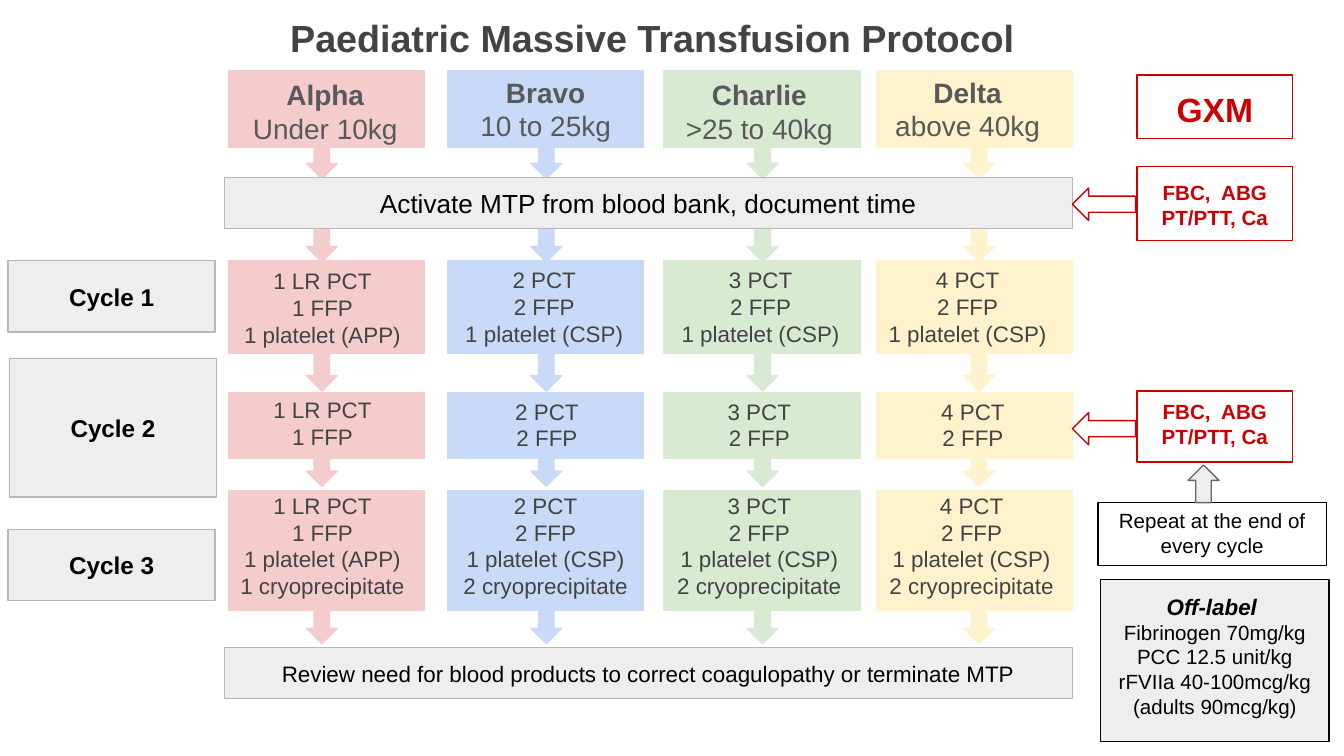
import pptx
import pptx.util
import pptx.dml.color
import pptx.enum.shapes
import pptx.enum.text

Inches = pptx.util.Inches
Pt = pptx.util.Pt
RGB = pptx.dml.color.RGBColor
SHAPE = pptx.enum.shapes.MSO_SHAPE
ANCHOR = pptx.enum.text.MSO_ANCHOR

BLACK = RGB(0x00, 0x00, 0x00)
WHITE = RGB(0xFF, 0xFF, 0xFF)
RED = RGB(0xCC, 0x00, 0x00)
DARK = RGB(0x43, 0x43, 0x43)
MID = RGB(0x59, 0x59, 0x59)
ARROW_GREY = RGB(0x66, 0x66, 0x66)
BORDER = RGB(0xB7, 0xB7, 0xB7)
PANEL = RGB(0xEE, 0xEE, 0xEE)
PINK = RGB(0xF4, 0xCC, 0xCC)
BLUE = RGB(0xC9, 0xDA, 0xF8)
GREEN = RGB(0xD9, 0xEA, 0xD3)
YELLOW = RGB(0xFF, 0xF2, 0xCC)

# name, weight, colour, box left, arrow left, (red cells, plasma, platelet, cryo)
GROUPS = [
    ("Alpha", "Under 10kg", PINK, 1.7, 2.28,
     ("1 LR PCT", "1 FFP", "1 platelet (APP)", "1 cryoprecipitate")),
    ("Bravo", "10 to 25kg", BLUE, 3.33, 3.95,
     ("2 PCT", "2 FFP", "1 platelet (CSP)", "2 cryoprecipitate")),
    ("Charlie", ">25 to 40kg", GREEN, 4.94, 5.56,
     ("3 PCT", "2 FFP", "1 platelet (CSP)", "2 cryoprecipitate")),
    ("Delta", "above 40kg", YELLOW, 6.52, 7.17,
     ("4 PCT", "2 FFP", "1 platelet (CSP)", "2 cryoprecipitate")),
]
HEADER_TEXT = [(1.75, 0.44), (3.39, 0.42), (4.98, 0.44), (6.53, 0.42)]
# box top, box height, products given, text height, top inset, text positions
CYCLES = [
    (1.94, 0.69, 3, 0.66, 0.1,
     [(1.67, 1.89), (3.32, 1.88), (4.93, 1.88), (6.47, 1.88)]),
    (2.92, 0.49, 2, 0.57, 0.06,
     [(1.67, 2.89), (3.34, 2.9), (4.92, 2.9), (6.51, 2.9)]),
    (3.65, 0.89, 4, 0.66, 0.1,
     [(1.67, 3.56), (3.33, 3.56), (4.92, 3.56), (6.5, 3.56)]),
]
ARROWS = [(1.05, 0.28), (1.71, 0.24), (2.63, 0.28), (3.38, 0.24), (4.55, 0.24)]
CYCLE_LABELS = [("Cycle 1", 0.06, 1.94, 0.53), ("Cycle 2", 0.07, 2.67, 1.03),
                ("Cycle 3", 0.06, 3.94, 0.53)]


def write(tf, lines, size=12, color=BLACK, bold=False, first=None,
          anchor=ANCHOR.TOP, top=0.1, bottom=0.1):
    """Fill a frame with centred lines; first overrides the first line's font."""
    tf.word_wrap = True
    tf.auto_size = pptx.enum.text.MSO_AUTO_SIZE.NONE
    tf.vertical_anchor = anchor
    tf.margin_left = tf.margin_right = Inches(0.1)
    tf.margin_top, tf.margin_bottom = Inches(top), Inches(bottom)
    for i, line in enumerate(lines):
        p = tf.paragraphs[0] if i == 0 else tf.add_paragraph()
        p.alignment = pptx.enum.text.PP_ALIGN.CENTER
        p.space_before = p.space_after = Pt(0)
        r = p.add_run()
        r.text = line
        r.font.name = "Arial"
        r.font.size = Pt(size)
        r.font.bold = bold
        r.font.color.rgb = color
        if i == 0:
            for key, value in (first or {}).items():
                setattr(r.font, key, value)


class Deck:
    def __init__(self):
        self.prs = pptx.Presentation()
        self.prs.slide_width = Inches(10)
        self.prs.slide_height = Inches(10) * 9 // 16
        self.s = self.prs.slides.add_slide(self.prs.slide_layouts[5])

    def title(self, text, x, y, w, h):
        sp = self.s.shapes.title
        sp.left, sp.top, sp.width, sp.height = map(Inches, (x, y, w, h))
        write(sp.text_frame, [text], size=20.2, color=DARK, bold=True,
              top=0.06, bottom=0.06)

    def shape(self, kind, x, y, w, h, fill, line):
        sp = self.s.shapes.add_shape(kind, *map(Inches, (x, y, w, h)))
        sp.shadow.inherit = False
        sp.fill.solid()
        sp.fill.fore_color.rgb = fill
        sp.line.color.rgb = line
        sp.line.width = Pt(0.75)
        return sp

    def box(self, x, y, w, h, fill, line, lines=(), **style):
        sp = self.shape(SHAPE.RECTANGLE, x, y, w, h, fill, line)
        write(sp.text_frame, lines, **style)

    def text(self, x, y, w, h, lines, **style):
        sp = self.s.shapes.add_textbox(*map(Inches, (x, y, w, h)))
        write(sp.text_frame, lines, **style)


def add_groups(deck):
    for i, (name, weight, color, x, arrow_x, products) in enumerate(GROUPS):
        for y, h in ARROWS:
            deck.shape(SHAPE.DOWN_ARROW, arrow_x, y, 0.23, h, color, color)
        deck.box(x, 0.53, 1.46, 0.57, color, color)
        deck.text(*HEADER_TEXT[i], 1.34, 0.59, [name, weight], size=15,
                  color=MID, first={"bold": True}, top=0.14)
        for y, h, count, text_h, top, places in CYCLES:
            deck.box(x, y, 1.46, h, color, color)
            deck.text(*places[i], 1.46, text_h, products[:count],
                      color=DARK, top=top)


def add_steps(deck):
    for label, x, y, h in CYCLE_LABELS:
        deck.box(x, y, 1.54, h, PANEL, BORDER, [label], size=13, bold=True,
                 anchor=ANCHOR.MIDDLE)
    for label, y, size in [
        ("Activate MTP from blood bank, document time", 1.32, 14),
        ("Review need for blood products to correct coagulopathy"
         " or terminate MTP", 4.82, 12),
    ]:
        deck.box(1.67, y, 6.31, 0.38, PANEL, BORDER, [label], size=size,
                 anchor=ANCHOR.MIDDLE)


def add_tests(deck):
    deck.box(8.46, 0.56, 1.16, 0.47, WHITE, RED, ["GXM"], size=18,
             color=RED, bold=True)
    for y, h, anchor, top in [(1.24, 0.55, ANCHOR.TOP, 0.1),
                              (2.91, 0.53, ANCHOR.MIDDLE, 0.06)]:
        deck.box(8.46, y, 1.16, h, WHITE, RED, ["FBC,  ABG", "PT/PTT, Ca"],
                 size=11, color=RED, bold=True, anchor=anchor, top=top)
        deck.shape(SHAPE.LEFT_ARROW, 7.98, y + 0.16, 0.47, 0.24, WHITE, RED)
    deck.box(8.17, 3.74, 1.7, 0.47, WHITE, BLACK,
             ["Repeat at the end of every cycle"], size=11, top=0.04, bottom=0.02)
    deck.shape(SHAPE.UP_ARROW, 8.84, 3.46, 0.23, 0.28, PANEL, ARROW_GREY)
    deck.box(8.19, 4.31, 1.7, 1.21, PANEL, BLACK,
             ["Off-label ", "Fibrinogen 70mg/kg", "PCC 12.5 unit/kg",
              "rFVIIa 40-100mcg/kg", "(adults 90mcg/kg)"], size=11, bottom=0.02,
             first={"size": Pt(12), "bold": True, "italic": True})


def main():
    deck = Deck()
    deck.title("Paediatric Massive Transfusion Protocol ", 0.23, 0.05, 9.32, 0.47)
    add_groups(deck)
    add_steps(deck)
    add_tests(deck)
    deck.prs.save("out.pptx")


if __name__ == "__main__":
    main()
